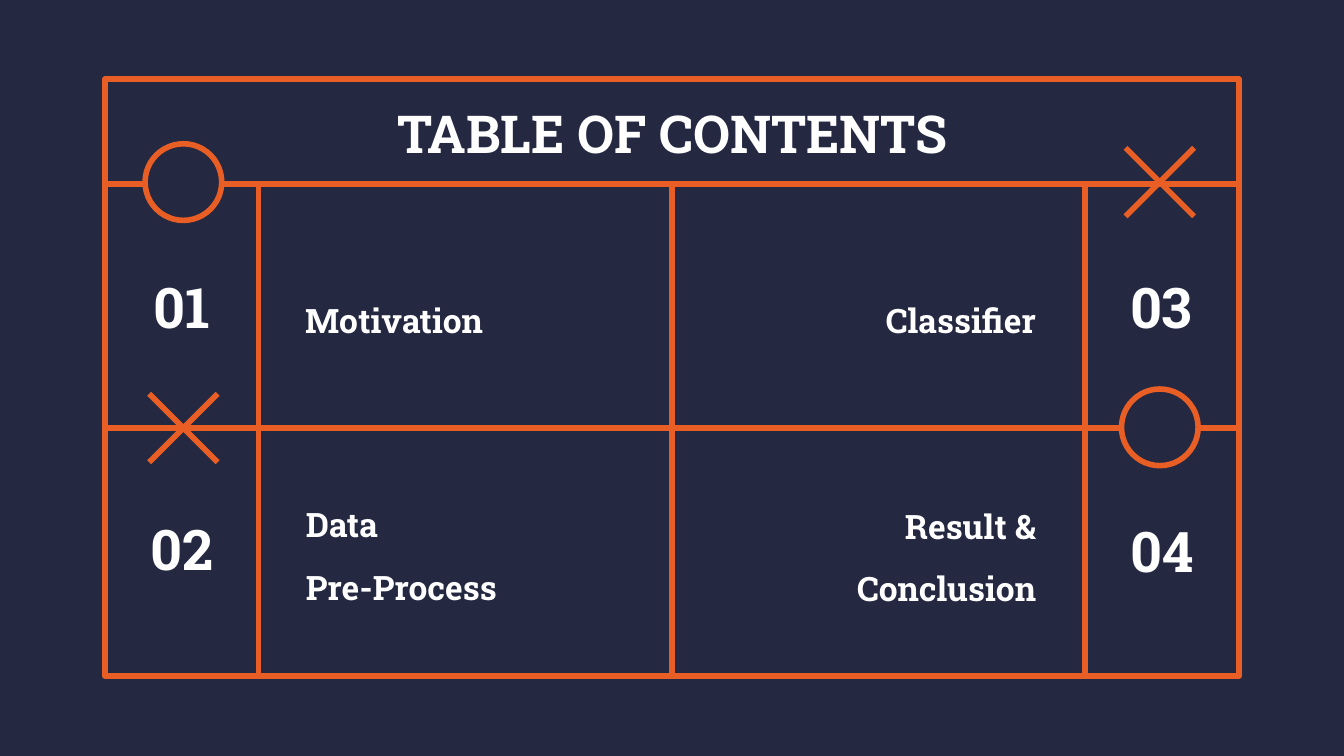
import dataclasses

import pptx
import pptx.dml.color
import pptx.enum.shapes
import pptx.enum.text
import pptx.oxml.ns
import pptx.util
from lxml import etree

ALIGN = pptx.enum.text.PP_ALIGN


@dataclasses.dataclass(frozen=True)
class Theme:
    """Colours, type sizes and line weight of the slide."""

    night: pptx.dml.color.RGBColor = pptx.dml.color.RGBColor(0x24, 0x28, 0x41)
    orange: pptx.dml.color.RGBColor = pptx.dml.color.RGBColor(0xE9, 0x5E, 0x24)
    white: pptx.dml.color.RGBColor = pptx.dml.color.RGBColor(0xFF, 0xFF, 0xFF)
    font: str = "Roboto Slab"
    heading: int = 28
    number: int = 30
    topic: int = 18
    topic_gap: int = 12
    stroke: int = 3


THEME = Theme()


def px(length):
    """Turn px, at 200 to the inch, into EMU."""
    return pptx.util.Emu(length * 4572)


def place(holder, box):
    """Move a placeholder to a box."""
    holder.left, holder.top, holder.width, holder.height = map(px, box)


def write(holder, lines, size, align, gap=0):
    """Write lines of bold white text, one paragraph each."""
    frame = holder.text_frame
    frame.word_wrap = True
    frame.auto_size = pptx.enum.text.MSO_AUTO_SIZE.NONE
    frame.vertical_anchor = pptx.enum.text.MSO_ANCHOR.MIDDLE
    frame.margin_left = frame.margin_right = px(20)
    frame.margin_top = frame.margin_bottom = px(20)
    for index, line in enumerate(lines):
        paragraph = frame.add_paragraph() if index else frame.paragraphs[0]
        properties = paragraph._p.get_or_add_pPr()
        properties.set("marL", "0")
        properties.set("indent", "0")
        etree.SubElement(properties, pptx.oxml.ns.qn("a:buNone"))
        paragraph.alignment = align
        paragraph.space_before = pptx.util.Pt(0)
        paragraph.space_after = pptx.util.Pt(gap)
        run = paragraph.add_run()
        run.text = line
        run.font.name = THEME.font
        run.font.size = pptx.util.Pt(size)
        run.font.bold = True
        run.font.color.rgb = THEME.white


def outline(shape):
    """Give a shape the orange outline."""
    shape.line.color.rgb = THEME.orange
    shape.line.width = pptx.util.Pt(THEME.stroke)


def rule(slide, x1, y1, x2, y2):
    """Draw a straight orange line."""
    line = slide.shapes.add_connector(
        pptx.enum.shapes.MSO_CONNECTOR.STRAIGHT, px(x1), px(y1), px(x2), px(y2))
    outline(line)
    etree.SubElement(line._element.spPr, pptx.oxml.ns.qn("a:effectLst"))


def board(slide, box):
    """Draw the frame with its heading row, two rows and four columns."""
    left, top, width, height = box
    right, bottom = left + width, top + height
    frame = slide.shapes.add_shape(
        pptx.enum.shapes.MSO_SHAPE.RECTANGLE, *map(px, box))
    frame.shadow.inherit = False
    frame.fill.background()
    outline(frame)
    for y in (156, 519):
        rule(slide, left, top + y, right, top + y)
    for x in (229, width // 2, width - 229):
        rule(slide, left + x, top + 156, left + x, bottom)


def nought(slide, left, top, size=114):
    """Draw a circle that hides the grid behind it."""
    circle = slide.shapes.add_shape(
        pptx.enum.shapes.MSO_SHAPE.OVAL, *map(px, (left, top, size, size)))
    circle.shadow.inherit = False
    circle.fill.solid()
    circle.fill.fore_color.rgb = THEME.night
    outline(circle)


def cross(slide, left, top, size=102):
    """Draw two crossing diagonals."""
    rule(slide, left, top, left + size, top + size)
    rule(slide, left + size, top, left, top + size)


def entry(slide, holder, number, lines, number_at, topic_at, align):
    """Place a section number and its topic."""
    label = slide.shapes.add_textbox(*map(px, (*number_at, 182, 114)))
    write(label, [number], THEME.number, ALIGN.CENTER)
    place(holder, (*topic_at, 536, 114))
    write(holder, lines, THEME.topic, align, THEME.topic_gap)


def contents_slide(deck):
    """Build the table of contents."""
    slide = deck.slides.add_slide(deck.slide_layouts.get_by_name("Comparison"))
    slide.background.fill.solid()
    slide.background.fill.fore_color.rgb = THEME.night
    heading, *topics = slide.placeholders
    board(slide, (156, 118, 1688, 888))
    place(heading, (156, 134, 1688, 126))
    write(heading, ["TABLE OF CONTENTS"], THEME.heading, ALIGN.CENTER)
    entries = (
        ("01", ["Motivation"], (180, 398), (434, 420), ALIGN.LEFT),
        ("02", ["Data", "Pre-Process"], (180, 758), (435, 770), ALIGN.LEFT),
        ("03", ["Classifier"], (1637, 398), (1026, 420), ALIGN.RIGHT),
        ("04", ["Result &", "Conclusion"], (1638, 761), (1026, 772), ALIGN.RIGHT),
    )
    for holder, section in zip(topics, entries):
        entry(slide, holder, *section)
    cross(slide, 1675, 220)
    nought(slide, 216, 214)
    cross(slide, 222, 586)
    nought(slide, 1669, 579)


def main():
    """Make the deck and save it."""
    deck = pptx.Presentation()
    deck.slide_width, deck.slide_height = px(2000), px(1125)
    contents_slide(deck)
    deck.save("out.pptx")


if __name__ == "__main__":
    main()
